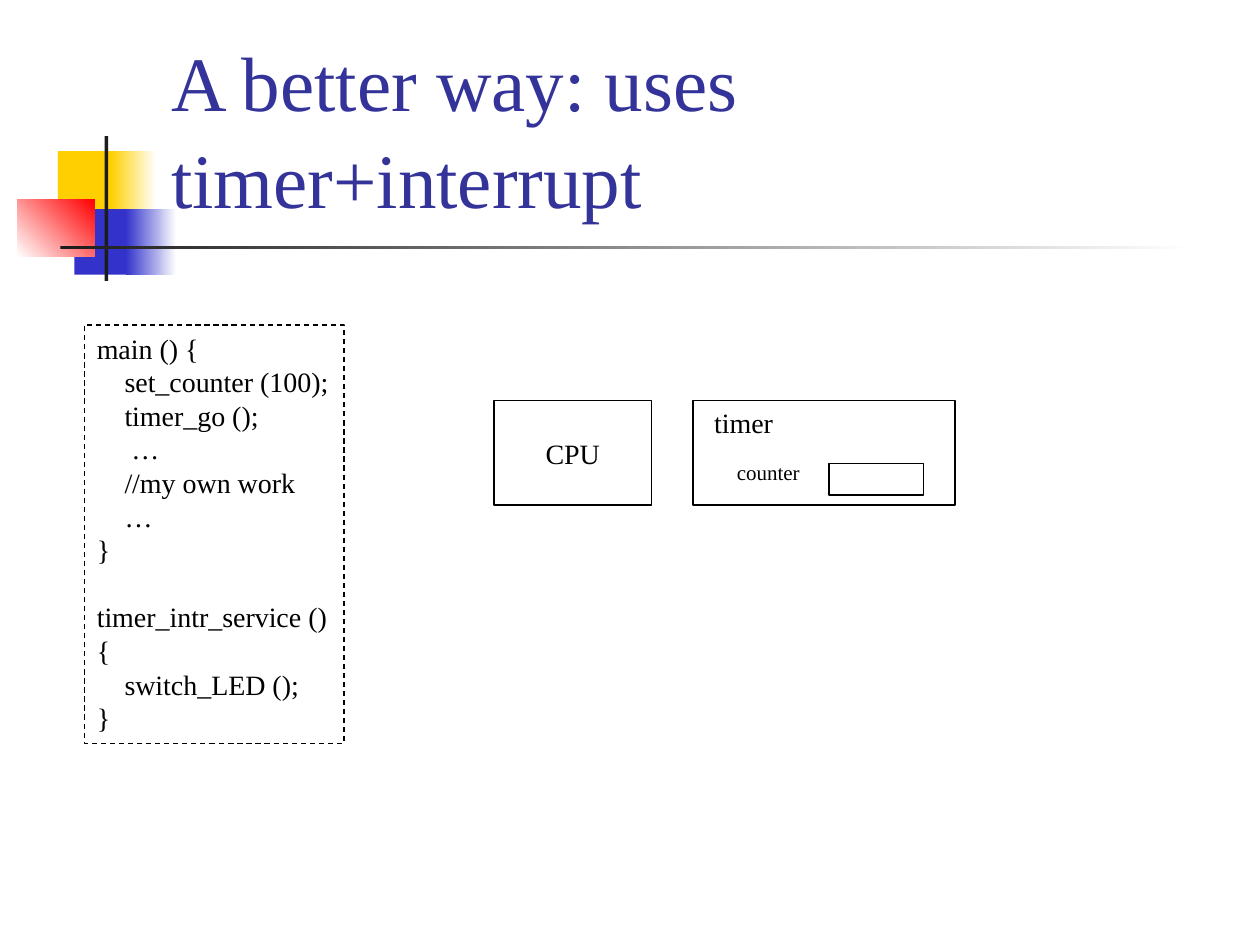
from dataclasses import dataclass

from pptx import Presentation
from pptx import util as u
from pptx.dml.color import RGBColor
from pptx.enum import dml, shapes, text


@dataclass(frozen=True)
class Theme:
    font: str = "Times New Roman"
    head: str = "333399"
    ink: str = "000000"
    bar: str = "1C1C1C"
    gold: str = "FFCF01"
    blue: str = "3333CC"
    red: str = "FF0000"
    white: str = "FFFFFF"
    large: int = 44
    body: int = 16
    small: int = 12
    line: float = 0.75
    step: float = 0.22


def write(shape, lines, theme, size=None, color=None, align="LEFT",
          anchor="TOP", wrap=False, space=1.0):
    frame = shape.text_frame
    frame.word_wrap = wrap
    frame.vertical_anchor = getattr(text.MSO_ANCHOR, anchor)
    size = size or theme.body
    for i, (words, indent, gap) in enumerate(lines):
        para = frame.paragraphs[0] if i == 0 else frame.add_paragraph()
        para.alignment = getattr(text.PP_ALIGN, align)
        para.line_spacing = space
        if gap:
            para.space_before = u.Pt(gap)
        if indent:
            para._p.get_or_add_pPr().set("marL", str(u.Inches(indent)))
        run = para.add_run()
        run.text = words
        run.font.name = theme.font
        run.font.size = u.Pt(size)
        run.font.color.rgb = RGBColor.from_string(color or theme.ink)


class Deck:
    """Hold the theme and the current slide, and add elements to it."""

    def __init__(self, theme):
        self.theme = theme
        self.show = Presentation()
        self.show.slide_width = u.Inches(10)
        self.show.slide_height = u.Inches(7.5)
        self.slide = self.show.slides.add_slide(self.show.slide_layouts[6])

    def rect(self, *box):
        shape = self.slide.shapes.add_shape(
            shapes.MSO_SHAPE.RECTANGLE, *map(u.Inches, box))
        shape.shadow.inherit = False
        shape.fill.background()
        shape.line.fill.background()
        return shape

    def block(self, box, *tints, angle=0):
        fill = self.rect(*box).fill
        if len(tints) == 1:
            fill.solid()
            fill.fore_color.rgb = RGBColor.from_string(tints[0])
            return
        fill.gradient()
        fill.gradient_angle = angle
        for stop, tint in zip(fill.gradient_stops, tints):
            stop.color.rgb = RGBColor.from_string(tint)

    def frame(self, box, lines=(), dash=False, **style):
        shape = self.rect(*box)
        shape.line.color.rgb = RGBColor.from_string(self.theme.ink)
        shape.line.width = u.Pt(self.theme.line)
        if dash:
            shape.line.dash_style = dml.MSO_LINE.DASH
        if lines:
            write(shape, lines, self.theme, **style)

    def label(self, box, words, **style):
        shape = self.slide.shapes.add_textbox(*map(u.Inches, box))
        write(shape, [(words, 0, 0)], self.theme, **style)


def main():
    theme = Theme()
    deck = Deck(theme)

    deck.block((0.46, 1.2, 0.48, 0.52), theme.gold)
    deck.block((0.88, 1.2, 0.36, 0.52), theme.gold, theme.white)
    deck.block((0.59, 1.66, 0.46, 0.52), theme.blue)
    deck.block((1, 1.66, 0.4, 0.52), theme.blue, theme.white)
    deck.block((0.14, 1.58, 0.61, 0.46), theme.white, theme.red, angle=45)
    deck.block((0.83, 1.08, 0.03, 1.15), theme.bar)
    deck.block((0.48, 1.95, 9, 0.03), theme.bar, theme.white)

    deck.label((1.26, 0.23, 8.52, 1.6), "A better way: uses timer+interrupt",
               size=theme.large, color=theme.head, anchor="BOTTOM",
               wrap=True, space=1.05)

    deck.frame((3.92, 3.18, 1.25, 0.83), [("CPU", 0, 0)],
               align="CENTER", anchor="MIDDLE")
    deck.frame((5.5, 3.18, 2.08, 0.83))
    deck.label((5.57, 3.17, 0.67, 0.37), "timer")
    deck.frame((6.58, 3.68, 0.75, 0.25))
    deck.label((5.75, 3.6, 0.7, 0.3), "counter", size=theme.small)

    step = theme.step
    code = [
        ("main () {", 0, 0),
        ("set_counter (100);", step, 0),
        ("timer_go ();", step, 0),
        ("…", step * 1.25, 0),
        ("//my own work", step, 0),
        ("…", step, 0),
        ("}", 0, 0),
        ("timer_intr_service ()", 0, theme.body * 1.2),
        ("{", 0, 0),
        ("switch_LED ();", step, 0),
        ("}", 0, 0),
    ]
    deck.frame((0.67, 2.58, 2.06, 3.32), code, dash=True)

    deck.show.save("out.pptx")


if __name__ == "__main__":
    main()
